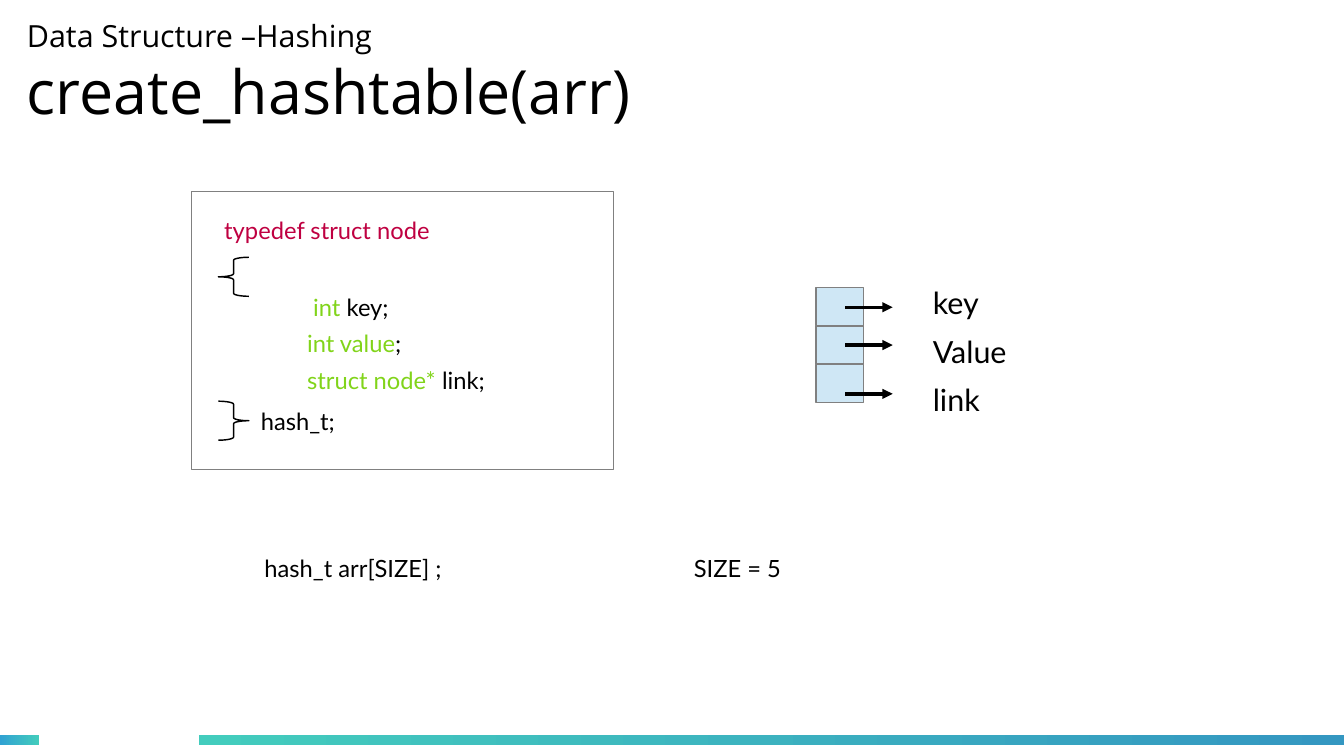
import pptx
import pptx.util
import pptx.dml.color
import pptx.enum.shapes
import pptx.enum.text
import pptx.oxml.ns
import lxml.etree

Inches = pptx.util.Inches
Pt = pptx.util.Pt
SHAPES = pptx.enum.shapes.MSO_SHAPE
COLORS = {
    "black": "000000", "white": "FFFFFF", "gray": "808080", "cell": "CFE7F5",
    "crimson": "BF0041", "green": "81D41A",
    "teal": "43CCBD", "sky": "30A2D2", "ocean": "3497C1",
}


def rgb(name):
    """Return the named colour."""
    return pptx.dml.color.RGBColor.from_string(COLORS[name])


def add_text(slide, box, parts, size=14, wrap=False):
    """Place one line of code or label, made of (text, colour) parts."""
    text_frame = slide.shapes.add_textbox(*map(Inches, box)).text_frame
    text_frame.word_wrap = wrap
    for text, color in parts:
        run = text_frame.paragraphs[0].add_run()
        run.text = text
        run.font.name = "Lato"
        run.font.size = Pt(size)
        run.font.color.rgb = rgb(color)


def add_box(slide, box, fill, kind=SHAPES.RECTANGLE):
    """Add a preset shape with a flat fill and a hairline border."""
    shape = slide.shapes.add_shape(kind, *map(Inches, box))
    shape.shadow.inherit = False
    shape.fill.solid()
    shape.fill.fore_color.rgb = rgb(fill)
    shape.line.color.rgb = rgb("gray")
    shape.line.width = Pt(0)
    return shape


def add_brace(slide, box, kind):
    """Draw a curly brace."""
    brace = add_box(slide, box, "white", kind)
    brace.fill.background()
    brace.line.color.rgb = rgb("black")
    brace.line.width = Pt(0.85)
    brace.adjustments[0] = 0.1


def add_arrow(slide, left, top, length):
    """Draw a horizontal hairline arrow pointing right."""
    arrow = slide.shapes.add_connector(
        pptx.enum.shapes.MSO_CONNECTOR.STRAIGHT,
        Inches(left), Inches(top), Inches(left + length), Inches(top))
    arrow.line.color.rgb = rgb("black")
    arrow.line.width = Pt(0)
    qn = pptx.oxml.ns.qn
    lxml.etree.SubElement(arrow.line._get_or_add_ln(), qn("a:tailEnd"), type="triangle")
    lxml.etree.SubElement(arrow._element.spPr, qn("a:effectLst"))


def add_footer_bar(slide, box, end_color, angle):
    """Add a gradient strip that starts in teal."""
    bar = add_box(slide, box, "teal")
    bar.line.fill.background()
    bar.fill.gradient()
    bar.fill.gradient_angle = angle
    for stop, color in zip(bar.fill.gradient_stops, ("teal", end_color)):
        stop.color.rgb = rgb(color)


def add_title(slide, box):
    """Write the topic above the function name."""
    text_frame = slide.shapes.add_textbox(*map(Inches, box)).text_frame
    text_frame.margin_left = text_frame.margin_right = 0
    text_frame.margin_top = text_frame.margin_bottom = 0
    text_frame.word_wrap = True
    text_frame.vertical_anchor = pptx.enum.text.MSO_ANCHOR.MIDDLE
    text_frame.text = "Data Structure –Hashing\vcreate_hashtable(arr)"
    for run, size in zip(text_frame.paragraphs[0].runs, (18, 36)):
        run.font.name = "Open Sans"
        run.font.size = Pt(size)
        run.font.color.rgb = rgb("black")


def add_struct_code(slide, box):
    """Show the node definition in a framed panel."""
    left, top, width, height = box
    add_box(slide, box, "white")
    add_text(slide, (left + 0.17, top + 0.15, 2.12, 0.36), [("typedef struct node", "crimson")])
    add_brace(slide, (left + 0.22, top + 0.54, 0.25, 0.32), SHAPES.LEFT_BRACE)
    fields = [(" int ", "key;"), ("int value", ";"), ("struct node* ", "link;")]
    for row, (kind, name) in enumerate(fields):
        add_text(slide, (left + 0.85, top + 0.78 + 0.3 * row, 2.5, 0.36),
                 [(kind, "green"), (name, "black")])
    add_brace(slide, (left + 0.22, top + 1.72, 0.25, 0.32), SHAPES.RIGHT_BRACE)
    add_text(slide, (left + 0.47, top + 1.72, 1.03, 0.36), [("hash_t;", "black")])


def add_node_diagram(slide, box):
    """Stack the node's cells and point each one to its label."""
    left, top, width, height = box
    labels = [("key", 0.16), ("Value", 0.47), ("link", 0.87)]
    cell_height = height / len(labels)
    for row in range(len(labels)):
        add_box(slide, (left, top + row * cell_height, width, cell_height), "cell")
    for row, (label, arrow_top) in enumerate(labels):
        add_text(slide, (left + 0.86, top - 0.08 + 0.4 * row, 0.88, 0.44),
                 [(label, "black")], size=18)
        add_arrow(slide, left + 0.24, top + arrow_top, 0.39)


def main():
    """Build and save the slide."""
    presentation = pptx.Presentation()
    presentation.slide_width = Inches(11.02)
    presentation.slide_height = Inches(6.2)
    slide = presentation.slides.add_slide(presentation.slide_layouts[6])
    add_footer_bar(slide, (0, 6.03, 0.32, 0.08), "sky", 180)
    add_footer_bar(slide, (1.63, 6.03, 9.39, 0.08), "ocean", 0)
    add_struct_code(slide, (1.57, 1.57, 3.46, 2.28))
    add_title(slide, (0.22, 0.08, 7.68, 1.02))
    add_node_diagram(slide, (6.69, 2.36, 0.39, 0.94))
    add_text(slide, (2.07, 4.49, 1.94, 0.54), [("hash_t arr[SIZE] ;", "black")], wrap=True)
    add_text(slide, (5.59, 4.49, 1.18, 0.36), [("SIZE = 5", "black")], wrap=True)
    presentation.save("out.pptx")


if __name__ == "__main__":
    main()
